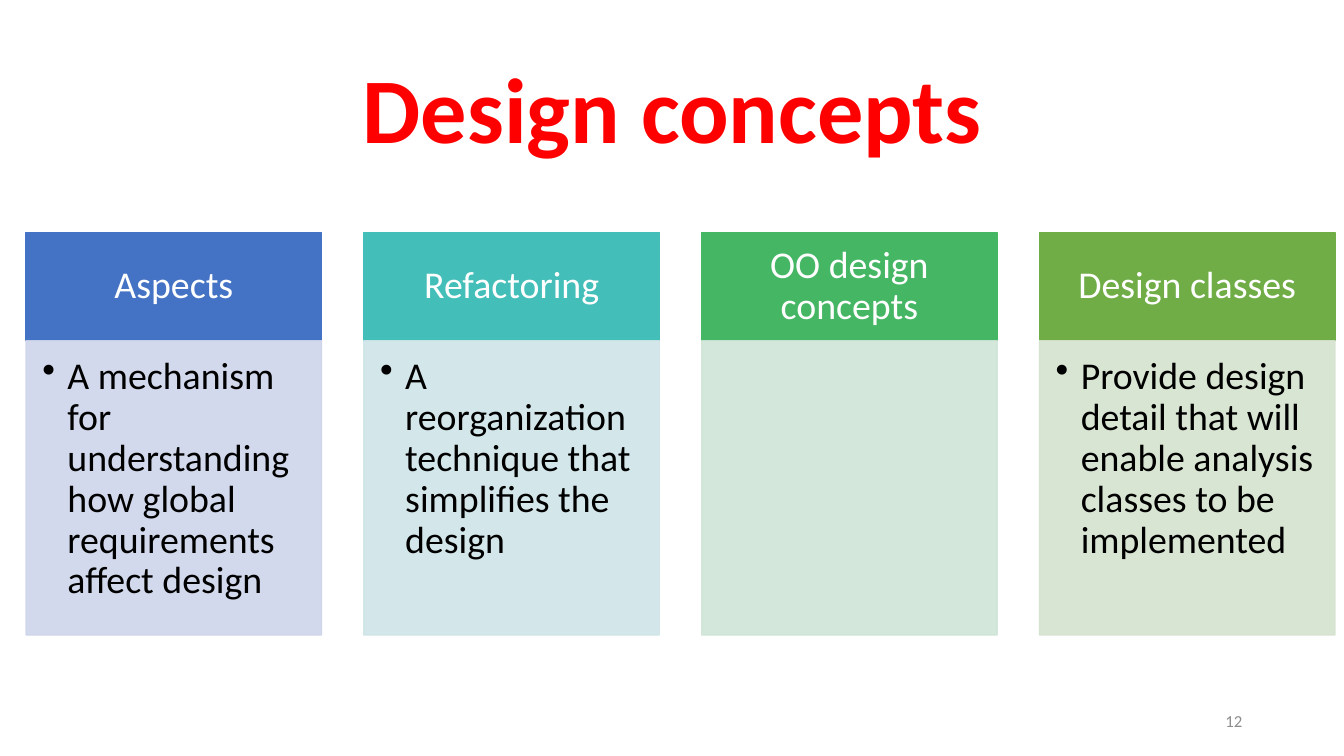
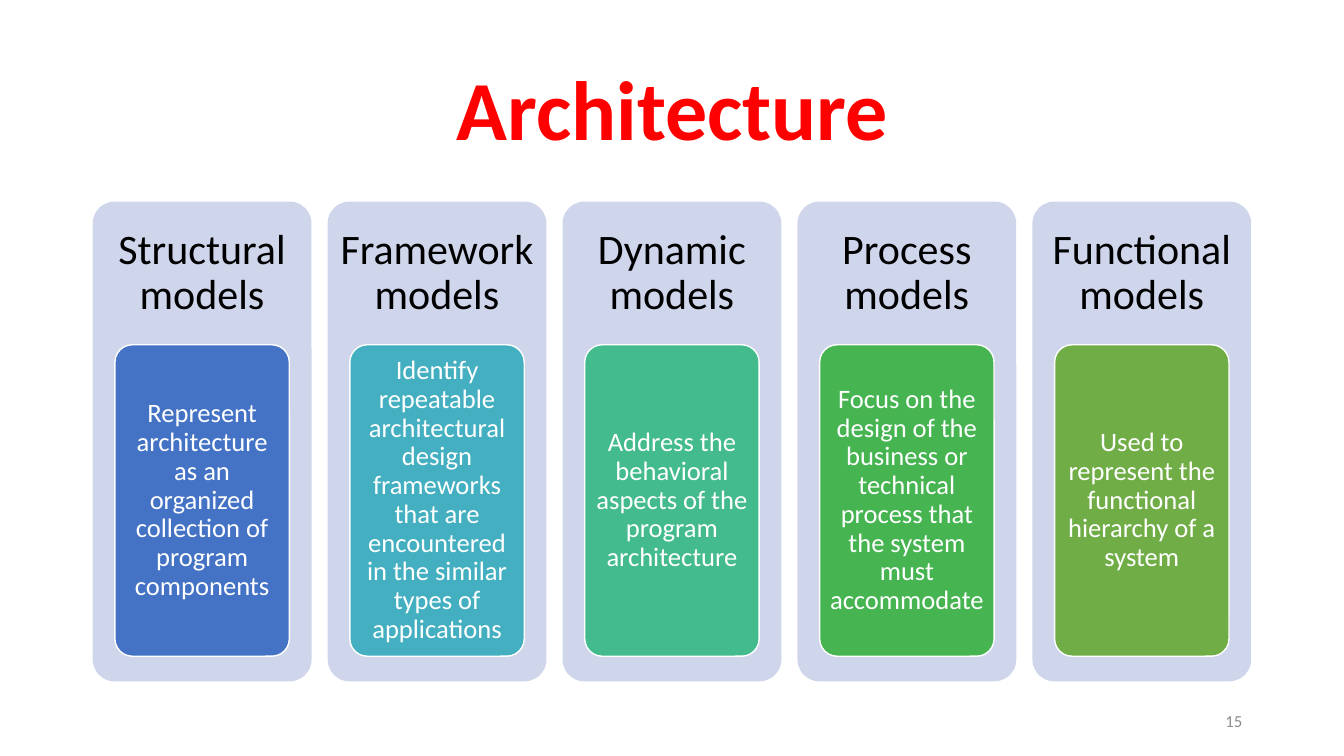
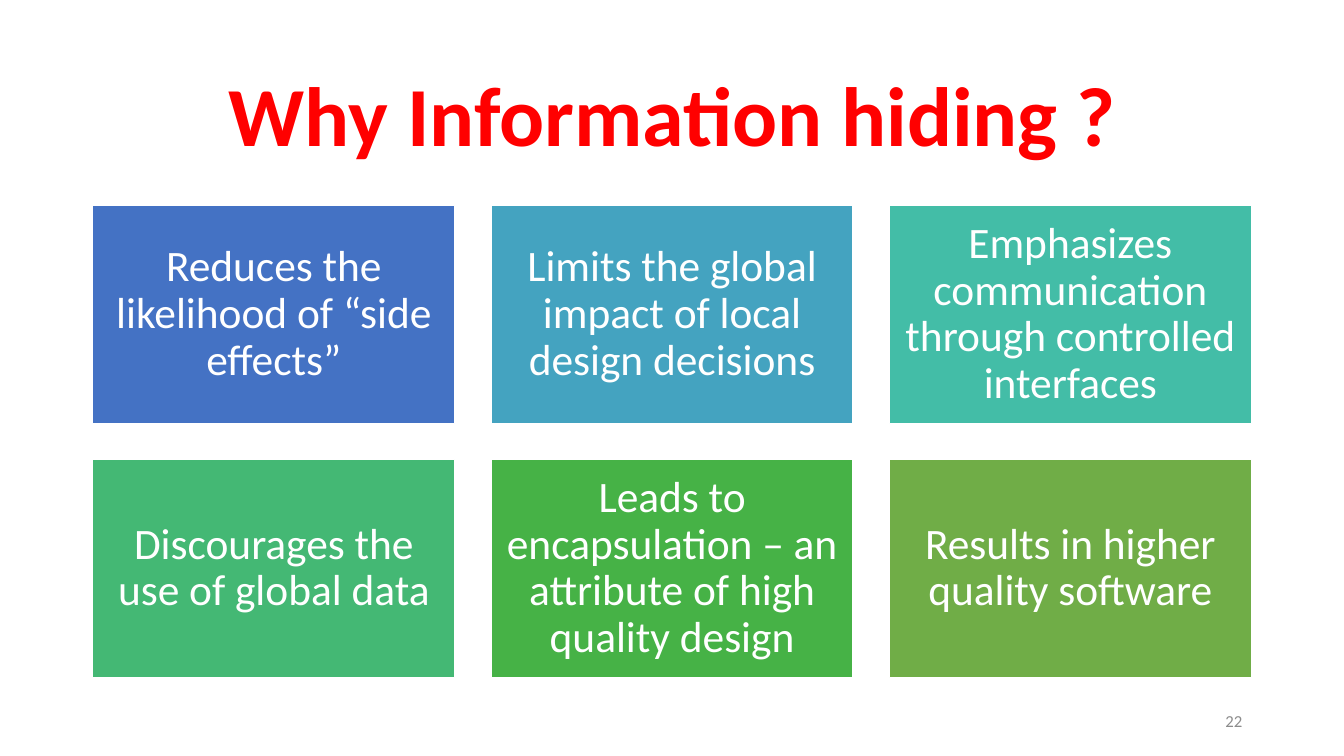
from lxml import etree
from pptx import Presentation
from pptx.dml.color import RGBColor
from pptx.enum import shapes, text
from pptx.oxml import ns
from pptx.util import Inches, Pt

FONT = "Calibri"
RED = RGBColor(0xFF, 0x00, 0x00)
WHITE = RGBColor(0xFF, 0xFF, 0xFF)
BLACK = RGBColor(0x00, 0x00, 0x00)
GREY = RGBColor(0x8C, 0x8C, 0x8C)
BLUE = RGBColor(0x44, 0x72, 0xC4)
OLIVE = RGBColor(0x70, 0xAD, 0x47)
TURQUOISE = RGBColor(0x43, 0xBE, 0xB9)
GREEN = RGBColor(0x45, 0xB6, 0x64)
LAGOON = RGBColor(0x43, 0xAF, 0xC0)
JADE = RGBColor(0x43, 0xBB, 0x8D)
LEAF = RGBColor(0x45, 0xB4, 0x51)
SKY = RGBColor(0x44, 0xA3, 0xC0)
TEAL = RGBColor(0x43, 0xBD, 0xA7)
EMERALD = RGBColor(0x44, 0xB8, 0x74)
GRASS = RGBColor(0x46, 0xB2, 0x46)
PALE_BLUE = RGBColor(0xCF, 0xD5, 0xEA)
PALE_TURQUOISE = RGBColor(0xCF, 0xE5, 0xE8)
PALE_GREEN = RGBColor(0xCF, 0xE5, 0xD8)
PALE_OLIVE = RGBColor(0xD5, 0xE3, 0xCF)

RECT = shapes.MSO_SHAPE.RECTANGLE
ROUNDED = shapes.MSO_SHAPE.ROUNDED_RECTANGLE
CENTER, LEFT, RIGHT = text.PP_ALIGN.CENTER, text.PP_ALIGN.LEFT, text.PP_ALIGN.RIGHT
TOP, MIDDLE = text.MSO_ANCHOR.TOP, text.MSO_ANCHOR.MIDDLE


class Deck:
    """Shared style and the slide being built."""

    def __init__(self):
        self.prs = Presentation()
        self.prs.slide_width, self.prs.slide_height = Inches(13.33), Inches(7.5)
        self.slide = None

    def label(self, sp, words, size, color, align=CENTER, anchor=MIDDLE,
              insets=(0.1, 0.05, 0.1, 0.05), bold=False, bullet=False, spacing=0.9):
        tf = sp.text_frame
        tf.text = words
        tf.word_wrap = True
        tf.auto_size = text.MSO_AUTO_SIZE.NONE
        tf.vertical_anchor = anchor
        tf.margin_left, tf.margin_top, tf.margin_right, tf.margin_bottom = map(Inches, insets)
        p = tf.paragraphs[0]
        p.alignment, p.line_spacing = align, spacing
        if bullet:
            pPr = p._p.get_or_add_pPr()
            pPr.set("marL", str(Inches(0.25)))
            pPr.set("indent", str(Inches(-0.25)))
            etree.SubElement(pPr, ns.qn("a:buChar")).set("char", "•")
        for r in p.runs:
            r.font.name, r.font.size, r.font.bold = FONT, Pt(size), bold
            r.font.color.rgb = color

    def new_slide(self, title, number, size=60, height=1.45):
        self.slide = self.prs.slides.add_slide(self.prs.slide_layouts[5])
        sp = self.slide.shapes.title
        sp.left, sp.top, sp.width, sp.height = map(Inches, (0.92, 0.4, 11.5, height))
        self.label(sp, title, size, RED, bold=True)
        sp = self.slide.shapes.add_textbox(*map(Inches, (9.42, 6.95, 3, 0.4)))
        self.label(sp, str(number), 12, GREY, align=RIGHT, spacing=1)

    def box(self, at, fill, line=None, kind=RECT, opacity=None):
        sp = self.slide.shapes.add_shape(kind, *map(Inches, at))
        sp.shadow.inherit = False
        sp.fill.solid()
        sp.fill.fore_color.rgb = fill
        if line is None:
            sp.line.fill.background()
        else:
            sp.line.color.rgb = line
            sp.line.width = Pt(1)
        if kind == ROUNDED:
            sp.adjustments[0] = 0.1
        if opacity:
            for clr in list(sp._element.spPr.iter(ns.qn("a:srgbClr"))):
                etree.SubElement(clr, ns.qn("a:alpha")).set("val", str(opacity * 1000))
        return sp

    def column(self, left, heading, body, fill, pale):
        sp = self.box((left, 2.31, 2.93, 1.07), fill, fill)
        self.label(sp, heading, 27, WHITE, insets=(0.21, 0.12, 0.21, 0.12))
        sp = self.box((left, 3.38, 2.93, 2.92), pale, pale, opacity=90)
        if body:
            self.label(sp, body, 27, BLACK, LEFT, TOP, (0.16, 0.16, 0.21, 0.24), bullet=True)

    def card(self, left, heading, body, fill):
        sp = self.box((left, 2, 2.17, 4.76), PALE_BLUE, kind=ROUNDED)
        self.label(sp, heading, 30, BLACK, insets=(0.05, 0.06, 0.05, 3.39))
        sp = self.box((left + 0.22, 3.42, 1.73, 3.09), fill, WHITE, ROUNDED)
        self.label(sp, body, 19, WHITE, insets=(0.04, 0.04, 0.04, 0.04))

    def tile(self, left, top, words, fill):
        sp = self.box((left, top, 3.59, 2.16), fill, WHITE)
        self.label(sp, words, 31, WHITE, insets=(0.13,) * 4)


CONCEPTS = [
    ("Aspects", "A mechanism for understanding how global requirements affect design",
     BLUE, PALE_BLUE),
    ("Refactoring", "A reorganization technique that simplifies the design",
     TURQUOISE, PALE_TURQUOISE),
    ("OO design concepts", "", GREEN, PALE_GREEN),
    ("Design classes", "Provide design detail that will enable analysis classes to be implemented",
     OLIVE, PALE_OLIVE),
]
MODELS = [
    ("Structural models",
     "Represent architecture as an organized collection of program components", BLUE),
    ("Framework models",
     "Identify repeatable architectural design frameworks that are encountered "
     "in the similar types of applications", LAGOON),
    ("Dynamic models", "Address the behavioral aspects of the program architecture", JADE),
    ("Process models",
     "Focus on the design of the business or technical process that the system "
     "must accommodate", LEAF),
    ("Functional models", "Used to represent the functional hierarchy of a system", OLIVE),
]
REASONS = [
    ("Reduces the likelihood of “side effects”", BLUE),
    ("Limits the global impact of local design decisions", SKY),
    ("Emphasizes communication through controlled interfaces", TEAL),
    ("Discourages the use of global data", EMERALD),
    ("Leads to encapsulation – an attribute of high quality design", GRASS),
    ("Results in higher quality software", OLIVE),
]


def main():
    deck = Deck()
    deck.new_slide("Design concepts", 12, size=66)
    for i, concept in enumerate(CONCEPTS):
        deck.column(0.26 + 3.35 * i, *concept)

    deck.new_slide("Architecture", 15)
    for i, model in enumerate(MODELS):
        deck.card(0.92 + 2.33 * i, *model)

    deck.new_slide("Why Information hiding ?", 22, height=1.56)
    for i, reason in enumerate(REASONS):
        row, col = divmod(i, 3)
        deck.tile(0.92 + 3.95 * col, 2.04 + 2.52 * row, *reason)

    deck.prs.save("out.pptx")


if __name__ == "__main__":
    main()
